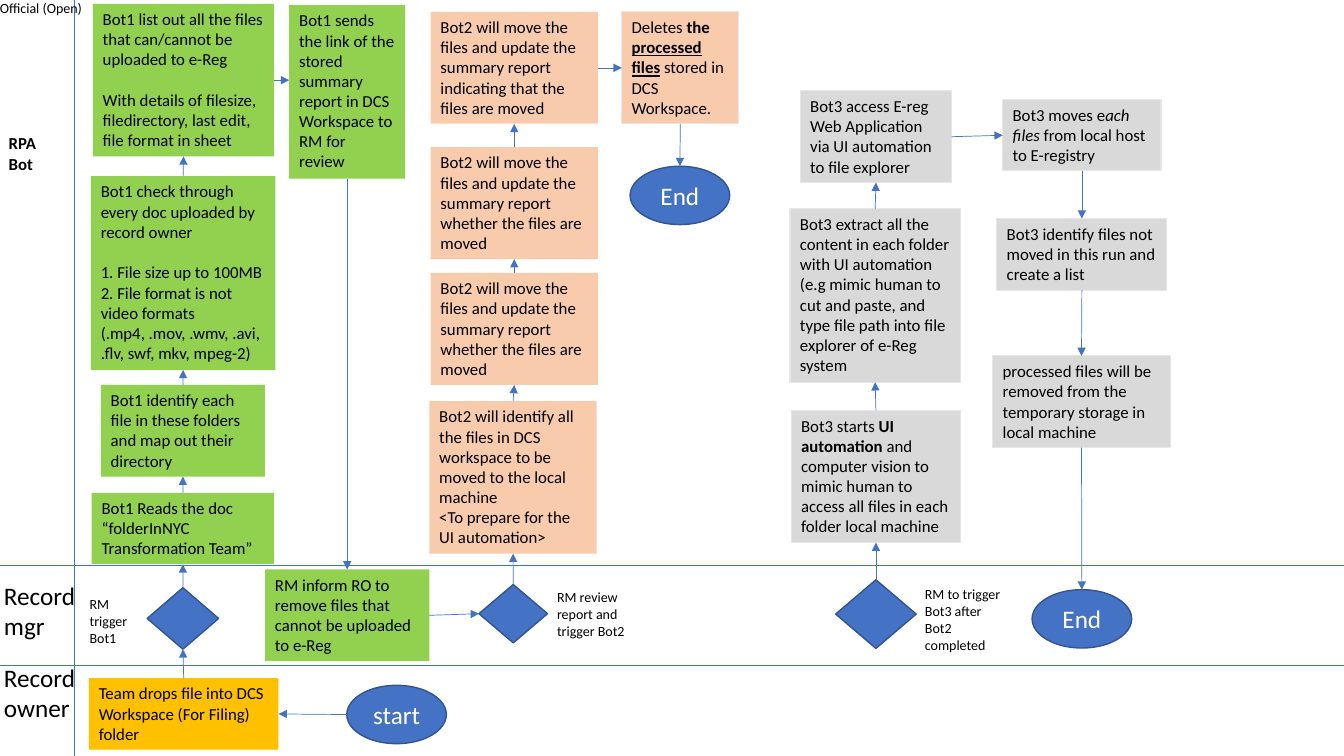
from dataclasses import dataclass

from lxml.etree import SubElement
from pptx import Presentation
from pptx.dml.color import RGBColor
from pptx.enum.shapes import MSO_CONNECTOR as Link, MSO_SHAPE as Form
from pptx.enum.text import MSO_ANCHOR as Anchor, MSO_AUTO_SIZE as Fit, PP_ALIGN as Align
from pptx.oxml.ns import qn
from pptx.shapes.autoshape import Shape
from pptx.shapes.connector import Connector
from pptx.util import Cm, Pt

BLUE = RGBColor(0x44, 0x72, 0xC4)
NAVY = RGBColor(0x32, 0x54, 0x91)
GREEN = RGBColor(0x92, 0xD0, 0x50)
PEACH = RGBColor(0xF8, 0xCB, 0xAD)
GRAY = RGBColor(0xD9, 0xD9, 0xD9)
PALE = RGBColor(0xE7, 0xE6, 0xE6)
GOLD = RGBColor(0xFF, 0xC0, 0x00)
WHITE = RGBColor(0xFF, 0xFF, 0xFF)
BLACK = RGBColor(0x00, 0x00, 0x00)

FONT = "Calibri"
WIDE, HIGH = 33.87, 19.05
TOP, LEFT, BOTTOM, RIGHT = range(4)


@dataclass(frozen=True)
class Step:
    key: str
    x: float
    y: float
    w: float
    h: float
    fill: RGBColor
    text: str
    edge: RGBColor | None = None
    styles: tuple[str, ...] = ("",)
    gap: int | None = None
    size: int = 12


@dataclass(frozen=True)
class Mark:
    key: str
    form: Form
    x: float
    y: float
    w: float = 2.51
    h: float = 1.47
    text: str = ""


@dataclass(frozen=True)
class Label:
    x: float
    y: float
    w: float
    h: float
    text: str
    size: int
    bold: bool = False
    inset: bool = True


@dataclass(frozen=True)
class Flow:
    start: str
    out: int
    stop: str
    into: int
    level: bool = False


MOVED = "Bot2 will move the files and update the summary report whether the files are moved"

STEPS = [
    Step("drop", 2.24, 17.09, 4.78, 1.8, GOLD, "Team drops file into DCS Workspace (For Filing) folder"),
    Step("read", 2.31, 12.42, 4.6, 1.8, GREEN, "Bot1 Reads the doc “folderInNYC Transformation Team”"),
    Step("map", 2.54, 9.7, 4.14, 2.31, GREEN,
         "Bot1 identify each file in these folders and map out their directory"),
    Step("check", 2.29, 4.44, 4.65, 4.88, GREEN,
         "Bot1 check through every doc uploaded by record owner\n1. File size up to 100MB\n"
         "2. File format is not video formats (.mp4, .mov, .wmv, .avi, .flv, swf, mkv, mpeg-2)", gap=1),
    Step("list", 2.34, 0.1, 4.57, 3.84, GREEN,
         "Bot1 list out all the files that can/cannot be uploaded to e-Reg\n"
         "With details of filesize, filedirectory, last edit, file format in sheet", gap=1),
    Step("send", 7.29, 0.13, 2.92, 4.37, GREEN,
         "Bot1 sends the link of the stored summary report in DCS Workspace to RM for review"),
    Step("inform", 6.68, 14.35, 4.14, 2.31, GREEN,
         "RM inform RO to remove files that cannot be uploaded to e-Reg"),
    Step("prep", 10.82, 10.11, 4.22, 3.84, PEACH,
         "Bot2 will identify all the files in DCS workspace to be moved to the local machine\n"
         "<To prepare for the UI automation>"),
    Step("move", 10.85, 6.88, 4.22, 2.82, PEACH, MOVED),
    Step("update", 10.85, 3.71, 4.22, 2.82, PEACH, MOVED),
    Step("report", 10.85, 0.3, 4.22, 2.82, PEACH,
         "Bot2 will move the files and update the summary report indicating that the files are moved"),
    Step("delete", 15.67, 0.3, 2.95, 2.82, PEACH,
         "Deletes| the |processed files| stored in DCS Workspace.", PALE, ("", "b", "bu", "")),
    Step("launch", 19.94, 10.34, 4.27, 3.33, GRAY,
         "Bot3 starts |UI automation| and computer vision to mimic human to access all files"
         " in each folder local machine", PALE, ("", "b", "")),
    Step("extract", 19.91, 5.26, 4.29, 4.37, GRAY,
         "Bot3 extract all the content in each folder with UI automation (e.g mimic human to"
         " cut and paste, and type file path into file explorer of e-Reg system", PALE),
    Step("access", 20.17, 2.29, 3.81, 2.31, GRAY,
         "Bot3 access E-reg Web Application via UI automation to file explorer", PALE),
    Step("each", 25.27, 2.51, 3.99, 1.8, GRAY,
         "Bot3 moves e|ach files| from local host to E-registry", PALE, ("", "i", "")),
    Step("missed", 25.12, 5.51, 4.29, 1.8, GRAY,
         "Bot3 identify files not moved in this run and create a list", PALE),
    Step("purge", 25.02, 8.97, 4.47, 2.31, GRAY,
         "processed files will be removed from the temporary storage in local machine", PALE),
    Step("note1", 2.01, 14.88, 1.57, 1.55, WHITE, "RM trigger Bot1", size=10),
    Step("note3", 23.06, 14.63, 2.44, 1.96, WHITE, "RM to trigger Bot3 after Bot2 completed", size=10),
]

MARKS = [
    Mark("start", Form.OVAL, 8.74, 17.27, text="start"),
    Mark("end2", Form.OVAL, 15.88, 4.19, text="End"),
    Mark("end3", Form.OVAL, 26.01, 14.86, text="End"),
    Mark("gate1", Form.DIAMOND, 3.71, 14.81, 1.8, 1.55),
    Mark("gate2", Form.DIAMOND, 12.07, 14.73, 1.73),
    Mark("gate3", Form.DIAMOND, 21.06, 14.61, 2.03, 1.73),
]

LABELS = [
    Label(0, 0, 2.16, 0.43, "Official (Open)", 10, inset=False),
    Label(-0.15, 16.56, 2.64, 1.8, "Record\nowner", 18),
    Label(-0.15, 14.5, 2.64, 1.8, "Record\nmgr", 18),
    Label(-0.03, 3.23, 1.65, 1.27, "RPA Bot", 12, bold=True),
    Label(13.79, 14.71, 2.82, 1.55, "RM review report and trigger Bot2", 10),
]

LANES = [(0, 16.76, WIDE, 16.76), (0, 14.25, WIDE, 14.25), (1.88, 0, 1.88, HIGH)]

RISES = [
    ("drop", "gate1", "read", "map", "check", "list"),
    ("gate2", "prep", "move", "update", "report"),
    ("gate3", "launch", "extract", "access"),
]
FALLS = [("send", "inform"), ("delete", "end2"), ("each", "missed", "purge", "end3")]
ACROSS = [("inform", "gate2"), ("report", "delete"), ("access", "each")]

FLOWS = [Flow("start", LEFT, "drop", RIGHT), Flow("list", RIGHT, "send", LEFT, level=True)]
FLOWS += [Flow(a, TOP, b, BOTTOM) for run in RISES for a, b in zip(run, run[1:])]
FLOWS += [Flow(a, BOTTOM, b, TOP) for run in FALLS for a, b in zip(run, run[1:])]
FLOWS += [Flow(a, RIGHT, b, LEFT) for a, b in ACROSS]


def write(shape: Shape, text: str, size: int, color: RGBColor, styles: tuple[str, ...] = ("",)) -> None:
    frame = shape.text_frame
    frame.word_wrap = True
    frame.text = text.replace("|", "") if len(styles) == 1 else ""
    if len(styles) > 1:
        for part in text.split("|"):
            frame.paragraphs[0].add_run().text = part
    for para in frame.paragraphs:
        para.alignment = Align.LEFT
        for run, style in zip(para.runs, styles):
            font = run.font
            font.name, font.size, font.color.rgb = FONT, Pt(size), color
            font.bold, font.italic, font.underline = "b" in style, "i" in style, "u" in style


def add_form(shapes, form: Form, box: Step | Mark, fill: RGBColor, edge: RGBColor | None, width: float) -> Shape:
    shape = shapes.add_shape(form, Cm(box.x), Cm(box.y), Cm(box.w), Cm(box.h))
    shape.shadow.inherit = False
    shape.fill.solid()
    shape.fill.fore_color.rgb = fill
    if edge is None:
        shape.line.fill.background()
    else:
        shape.line.color.rgb, shape.line.width = edge, Pt(width)
    return shape


def add_step(shapes, step: Step) -> Shape:
    shape = add_form(shapes, Form.RECTANGLE, step, step.fill, step.edge, 0.75)
    write(shape, step.text, step.size, BLACK, step.styles)
    frame = shape.text_frame
    frame.vertical_anchor, frame.auto_size = Anchor.TOP, Fit.SHAPE_TO_FIT_TEXT
    if step.gap is not None:
        frame.paragraphs[step.gap].space_before = Pt(14.65)
    return shape


def add_mark(shapes, mark: Mark) -> Shape:
    shape = add_form(shapes, mark.form, mark, BLUE, NAVY, 1)
    if mark.text:
        write(shape, mark.text, 18, WHITE)
        shape.text_frame.vertical_anchor = Anchor.MIDDLE
        shape.text_frame.paragraphs[0].alignment = Align.CENTER
    return shape


def add_label(shapes, label: Label) -> None:
    shape = shapes.add_textbox(Cm(label.x), Cm(label.y), Cm(label.w), Cm(label.h))
    write(shape, label.text, label.size, BLACK, ("b" if label.bold else "",))
    frame = shape.text_frame
    frame.auto_size = Fit.SHAPE_TO_FIT_TEXT
    if not label.inset:
        frame.word_wrap = False
        frame.margin_left = frame.margin_right = frame.margin_top = frame.margin_bottom = 0


def add_line(shapes, ends: tuple[float, ...] = (0, 0, 0, 0)) -> Connector:
    line = shapes.add_connector(Link.STRAIGHT, *map(Cm, ends))
    line.line.color.rgb, line.line.width = BLUE, Pt(0.5)
    SubElement(line._element.spPr, qn("a:effectLst"))
    return line


def add_flow(shapes, flow: Flow, nodes: dict[str, Shape]) -> None:
    line = add_line(shapes)
    line.begin_connect(nodes[flow.start], flow.out)
    if flow.level:
        line.end_x, line.end_y = nodes[flow.stop].left, line.begin_y
    else:
        line.end_connect(nodes[flow.stop], flow.into)
    SubElement(line.line._get_or_add_ln(), qn("a:tailEnd"), type="triangle")


def main() -> None:
    deck = Presentation()
    deck.slide_width, deck.slide_height = Cm(WIDE), Cm(HIGH)
    shapes = deck.slides.add_slide(deck.slide_layouts[6]).shapes
    for lane in LANES:
        add_line(shapes, lane)
    for label in LABELS:
        add_label(shapes, label)
    nodes = {step.key: add_step(shapes, step) for step in STEPS}
    nodes |= {mark.key: add_mark(shapes, mark) for mark in MARKS}
    for flow in FLOWS:
        add_flow(shapes, flow, nodes)
    deck.save("out.pptx")


if __name__ == "__main__":
    main()
